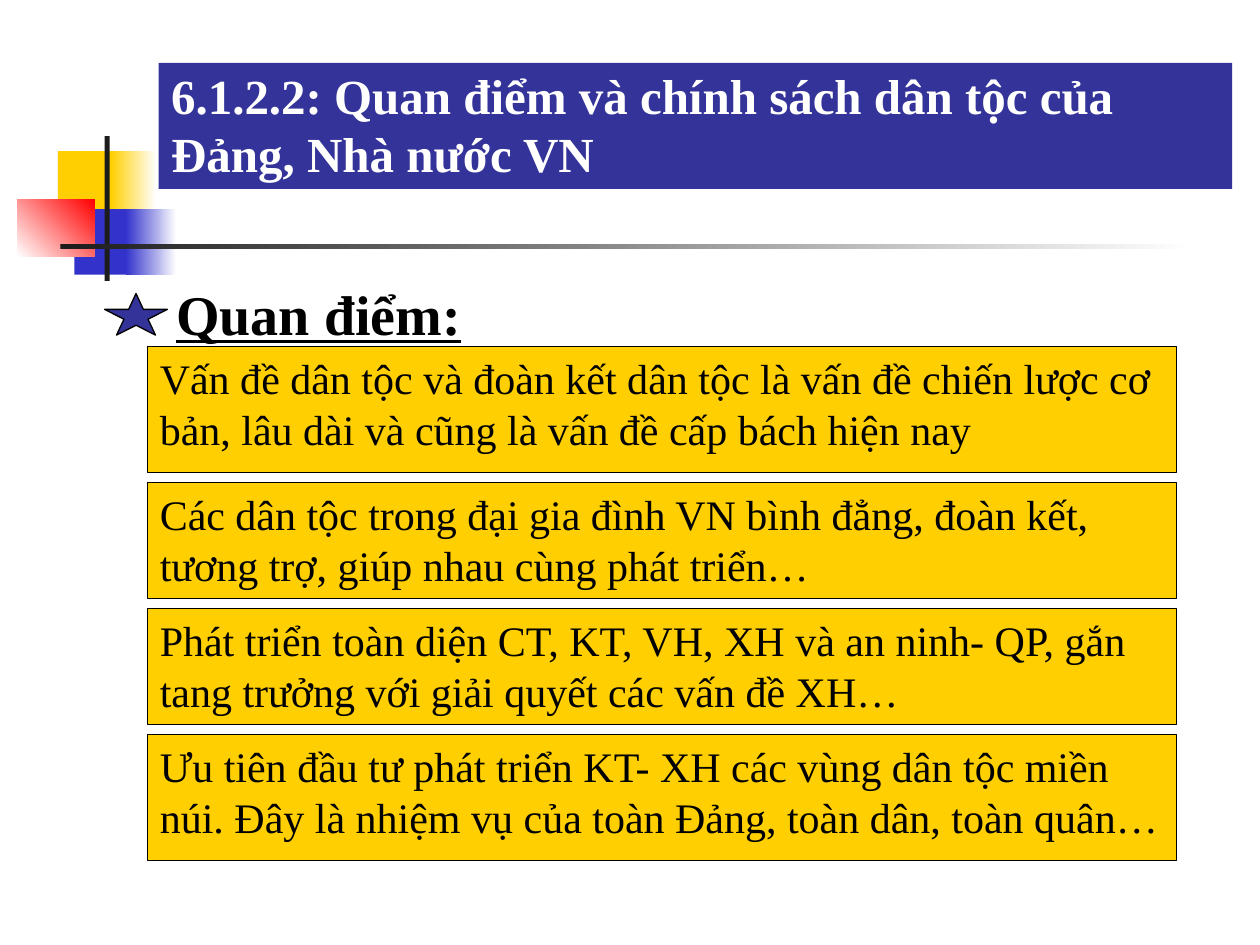
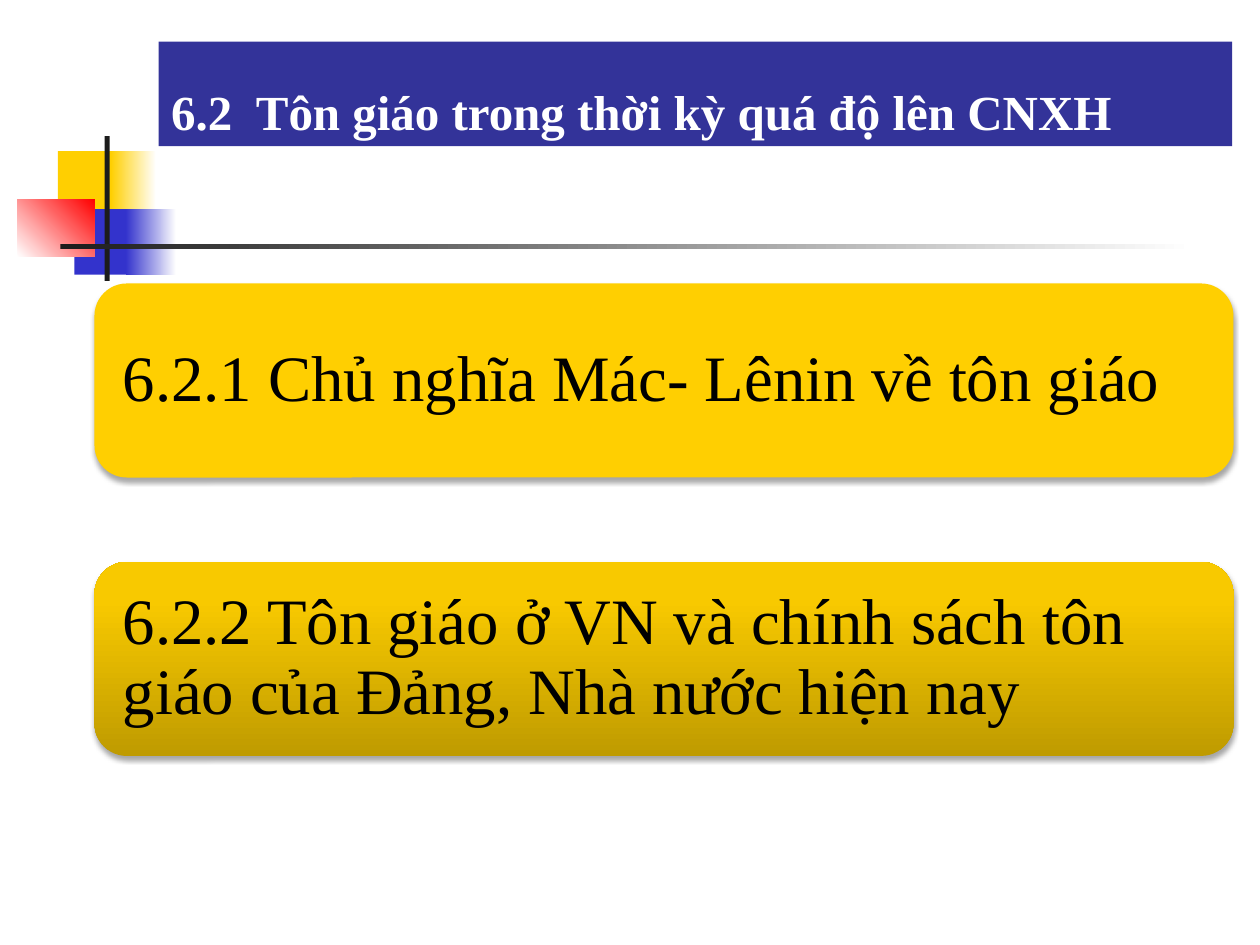
from lxml.etree import SubElement
from pptx import Presentation
from pptx.dml.color import RGBColor
from pptx.enum.shapes import MSO_SHAPE as Shape
from pptx.enum.text import MSO_ANCHOR as Anchor, PP_ALIGN as Align
from pptx.oxml.ns import qn
from pptx.util import Emu, Pt

PX = 9144
FONT = "Times New Roman"
YELLOW, BLUE, NAVY, RED = "FFCF01", "3333CC", "333399", "FF0000"
CHARCOAL, BLACK, WHITE = "1C1C1C", "000000", "FFFFFF"
GOLD_STOPS = [(0, "BF9B00"), (80, "F8C900"), (100, "F9CA00")]


def px(length):
    return Emu(length * PX)


def rgb(code):
    return RGBColor.from_string(code)


def fade(start, end):
    return [(0, start), (100, end)]


class Deck:
    def __init__(self, width, height):
        self.prs = Presentation()
        self.prs.slide_width, self.prs.slide_height = px(width), px(height)
        self.slide = None

    def new_slide(self):
        self.slide = self.prs.slides.add_slide(self.prs.slide_layouts[6])
        self.shape(46, 120, 48, 52, YELLOW)
        self.shape(88, 120, 36, 52, fade(YELLOW, WHITE))
        self.shape(59, 166, 46, 52, BLUE)
        self.shape(100, 166, 40, 52, fade(BLUE, WHITE))
        self.shape(14, 158, 61, 46, fade(WHITE, RED), angle=45)
        self.shape(83, 108, 4, 115, CHARCOAL)
        self.shape(48, 194, 900, 4, fade(CHARCOAL, WHITE))

    def shape(self, left, top, width, height, fill, preset=Shape.RECTANGLE,
              outline=None, angle=0):
        shape = self.slide.shapes.add_shape(
            preset, px(left), px(top), px(width), px(height))
        shape.shadow.inherit = False
        if isinstance(fill, str):
            shape.fill.solid()
            shape.fill.fore_color.rgb = rgb(fill)
        else:
            self.gradient(shape, fill, angle)
        if outline:
            shape.line.color.rgb = rgb(outline)
            shape.line.width = Pt(0.75)
        else:
            shape.line.fill.background()
        return shape

    def gradient(self, shape, stops, angle):
        shape.fill.gradient()
        shape.fill.gradient_angle = angle
        stop_list = next(shape.element.iter(qn("a:gsLst")))
        stop_list.clear()
        for position, code in stops:
            stop = SubElement(stop_list, qn("a:gs"), pos=str(position * 1000))
            SubElement(stop, qn("a:srgbClr"), val=code)

    def drop_shadow(self, shape):
        effects = next(shape.element.iter(qn("a:effectLst")))
        shadow = SubElement(effects, qn("a:outerShdw"), blurRad=str(Pt(3.1)),
                            dist=str(Pt(1.8)), dir="5400000", rotWithShape="0")
        color = SubElement(shadow, qn("a:srgbClr"), val=BLACK)
        SubElement(color, qn("a:alpha"), val="35000")

    def text(self, holder, words, size, color=BLACK, bold=False,
             underline=False, anchor=Anchor.TOP, insets=(10, 5), spacing=None):
        frame = holder.text_frame
        frame.word_wrap = True
        frame.vertical_anchor = anchor
        side, edge = insets
        frame.margin_left = frame.margin_right = px(side)
        frame.margin_top = frame.margin_bottom = px(edge)
        paragraph = frame.paragraphs[0]
        paragraph.alignment = Align.LEFT
        paragraph.line_spacing = spacing
        run = paragraph.add_run()
        run.text = words
        run.font.name, run.font.size = FONT, Pt(size)
        run.font.bold, run.font.underline = bold, underline
        run.font.color.rgb = rgb(color)

    def title(self, words, top, height):
        band = self.shape(126, top, 852, height, NAVY)
        self.text(band, words, 28, WHITE, bold=True, anchor=Anchor.BOTTOM)

    def heading(self, words):
        body = self.slide.shapes.add_textbox(
            px(130), px(217), px(850), px(450))
        self.text(body, words, 32, bold=True, underline=True)
        self.shape(83, 233, 50, 33, NAVY, Shape.STAR_5_POINT, BLACK)

    def viewpoint(self, words, top, height):
        card = self.shape(117, top, 817, height, YELLOW, outline=BLACK)
        self.text(card, words, 24)

    def section(self, words, top, fill):
        panel = self.shape(75, top, 904, 154, fill, Shape.ROUNDED_RECTANGLE,
                           angle=90)
        self.drop_shadow(panel)
        self.text(panel, words, 37, anchor=Anchor.MIDDLE, insets=(15, 15),
                  spacing=0.9)


def ethnic_policy(deck):
    deck.new_slide()
    deck.heading("Quan điểm:")
    deck.title("6.1.2.2: Quan điểm và chính sách dân tộc của Đảng, "
               "Nhà nước VN", 50, 100)
    viewpoints = [
        ("Vấn đề dân tộc và đoàn kết dân tộc là vấn đề chiến lược cơ bản, "
         "lâu dài và cũng là vấn đề cấp bách hiện nay", 100),
        ("Các dân tộc trong đại gia đình VN bình đẳng, đoàn kết, tương trợ, "
         "giúp nhau cùng phát triển…", 92),
        ("Phát triển toàn diện CT, KT, VH, XH và an ninh- QP, gắn tang trưởng "
         "với giải quyết các vấn đề XH…", 92),
        ("Ưu tiên đầu tư phát triển KT- XH các vùng dân tộc miền núi. "
         "Đây là nhiệm vụ của toàn Đảng, toàn dân, toàn quân…", 100),
    ]
    top, gap = 275, 8
    for words, height in viewpoints:
        deck.viewpoint(words, top, height)
        top += height + gap


def religion(deck):
    deck.new_slide()
    deck.section("6.2.1 Chủ nghĩa Mác- Lênin về tôn giáo", 225, YELLOW)
    deck.section("6.2.2 Tôn giáo ở VN và chính sách tôn giáo của Đảng, "
                 "Nhà nước hiện nay", 446, GOLD_STOPS)
    deck.title("6.2  Tôn giáo trong thời kỳ quá độ lên CNXH", 33, 83)


def main():
    deck = Deck(1000, 750)
    ethnic_policy(deck)
    religion(deck)
    deck.prs.save("out.pptx")


if __name__ == "__main__":
    main()
